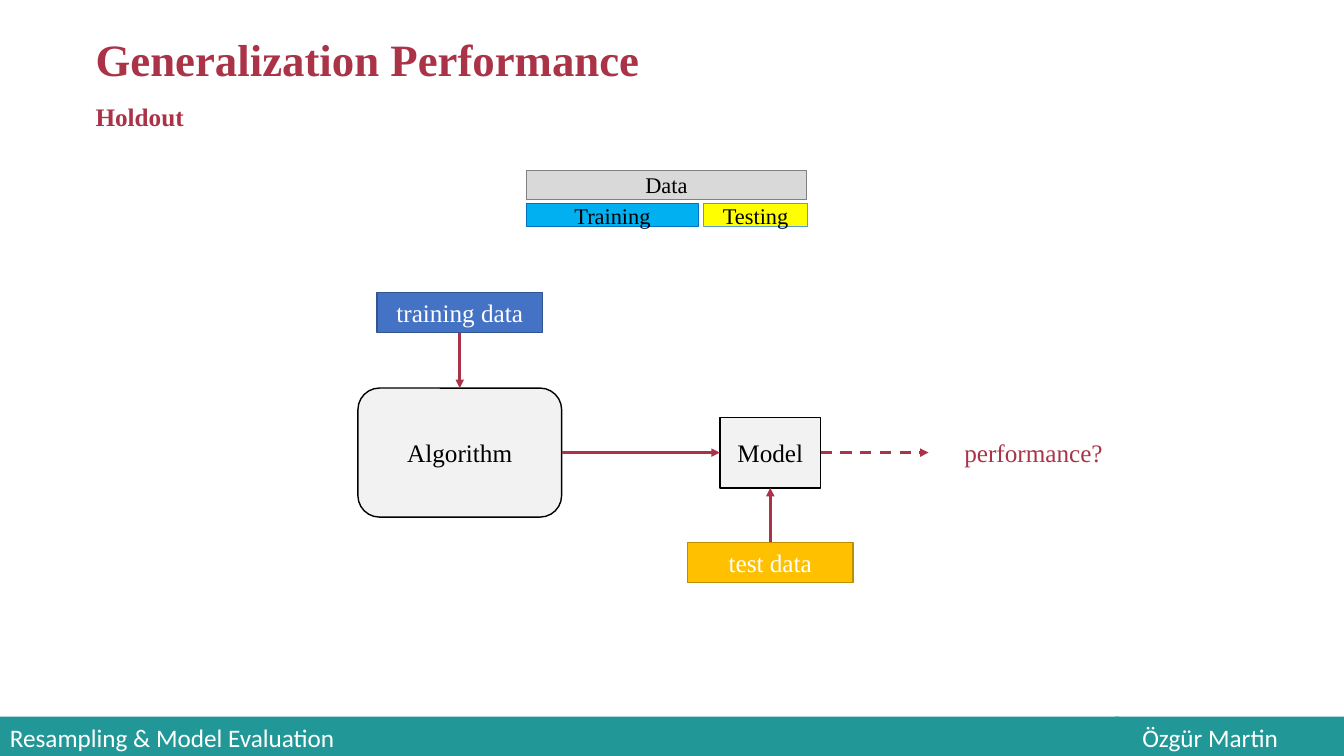
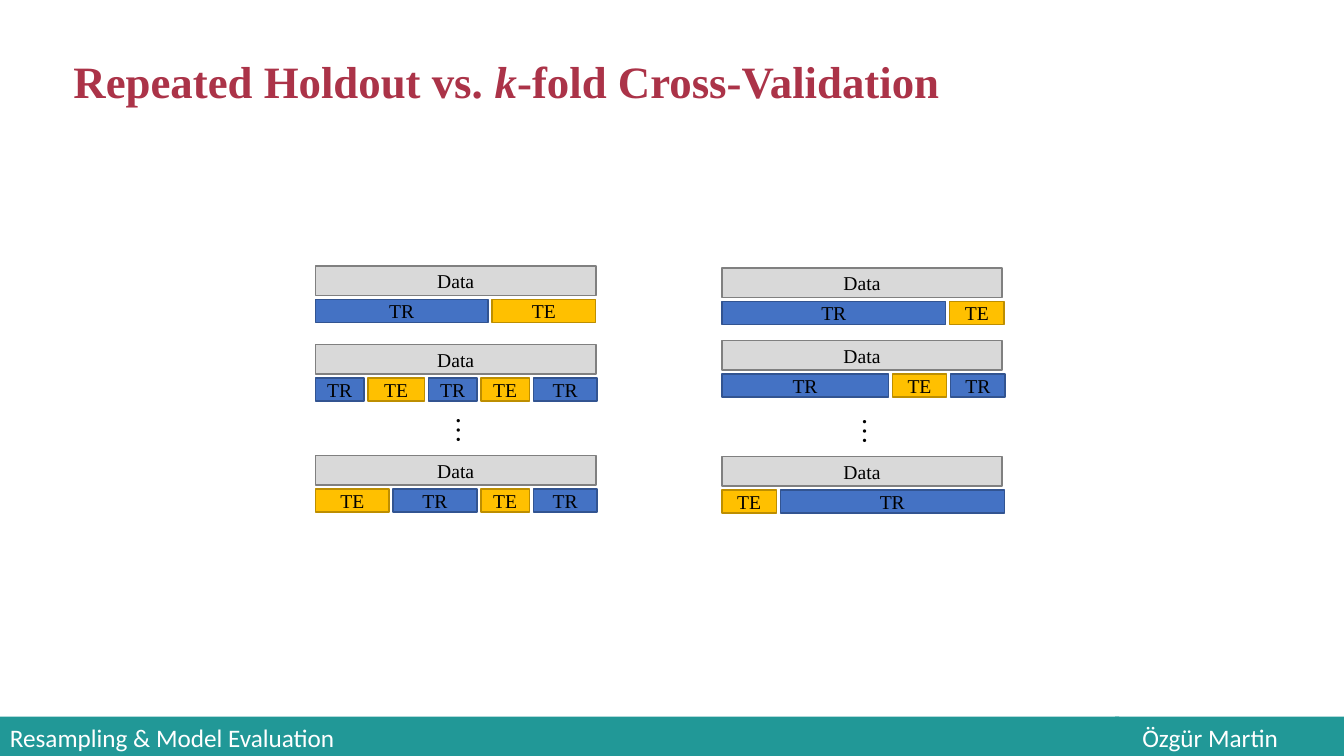
"""Build two slides on holdout evaluation and cross-validation."""
from lxml import etree
from pptx import Presentation
from pptx.dml.color import RGBColor
from pptx.enum.dml import MSO_LINE
from pptx.enum.shapes import MSO_CONNECTOR, MSO_SHAPE
from pptx.enum.text import MSO_ANCHOR, PP_ALIGN
from pptx.oxml.ns import qn
from pptx.util import Inches, Pt

RECTANGLE, ROUNDED = MSO_SHAPE.RECTANGLE, MSO_SHAPE.ROUNDED_RECTANGLE
STRAIGHT, DASH = MSO_CONNECTOR.STRAIGHT, MSO_LINE.DASH
LEFT, CENTER = PP_ALIGN.LEFT, PP_ALIGN.CENTER
TOP_ANCHOR, MIDDLE = MSO_ANCHOR.TOP, MSO_ANCHOR.MIDDLE

CRIMSON = RGBColor(0xAB, 0x33, 0x48)
TEAL = RGBColor(0x21, 0x98, 0x97)
WHITE = RGBColor(0xFF, 0xFF, 0xFF)
BLACK = RGBColor(0, 0, 0)
PALE = RGBColor(0xF2, 0xF2, 0xF2)
GRAY = RGBColor(0xD9, 0xD9, 0xD9)
DARK_GRAY = RGBColor(0x80, 0x80, 0x80)
BLUE = RGBColor(0x44, 0x72, 0xC4)
DARK_BLUE = RGBColor(0x32, 0x54, 0x91)
GOLD = RGBColor(0xFF, 0xC0, 0x00)
DARK_GOLD = RGBColor(0xBD, 0x8E, 0x00)
YELLOW = RGBColor(0xFF, 0xFF, 0x00)
STEEL = RGBColor(0x5B, 0x9B, 0xD5)
SKY = RGBColor(0x00, 0xB0, 0xF0)
DEEP_SKY = RGBColor(0x00, 0x70, 0xC0)

SERIF, SANS = "Times New Roman", "Calibri"
BAR_WIDTH, DATA_HEIGHT, PART_HEIGHT, PART_DROP = 2.78, 0.29, 0.23, 0.33

PART_COLORS = {
    "TR": (BLUE, DARK_BLUE),
    "TE": (GOLD, DARK_GOLD),
    "Training": (SKY, DEEP_SKY),
    "Testing": (YELLOW, STEEL),
}
FOOTERS = [
    ("Özgür Martin", (11.06, 7.11, 2.27, 0.42), 0.27),
    ("Resampling & Model Evaluation", (0, 7.11, 11.1, 0.42), 0.1),
]
HOLDOUT_PARTS = [("Training", 1.71), ("Testing", 1.03)]
FLOW_BOXES = {
    "Algorithm": ((3.55, 3.85, 2.02, 1.28), ROUNDED, PALE, BLACK, BLACK),
    "training data": ((3.74, 2.9, 1.64, 0.4), RECTANGLE, BLUE, DARK_BLUE, WHITE),
    "Model": ((7.14, 4.14, 1, 0.7), RECTANGLE, PALE, BLACK, BLACK),
    "test data": ((6.82, 5.38, 1.64, 0.4), RECTANGLE, GOLD, DARK_GOLD, WHITE),
}
TOP_SITE, LEFT_SITE, BOTTOM_SITE, RIGHT_SITE = range(4)
FLOW_ARROWS = [
    ("training data", BOTTOM_SITE, "Algorithm", TOP_SITE, None),
    ("Algorithm", RIGHT_SITE, "Model", LEFT_SITE, None),
    ("Model", RIGHT_SITE, "performance?", LEFT_SITE, DASH),
    ("test data", TOP_SITE, "Model", BOTTOM_SITE, None),
]
COMPARISON = [
    {
        "left": 3.13,
        "dots": (4.21, 4.05, 0.86, 0.44),
        "rows": [
            (2.64, [("TR", 1.71), ("TE", 1.03)]),
            (3.42, [("TR", 0.48), ("TE", 0.56), ("TR", 0.48), ("TE", 0.48), ("TR", 0.63)]),
            (4.52, [("TE", 0.73), ("TR", 0.83), ("TE", 0.48), ("TR", 0.63)]),
        ],
    },
    {
        "left": 7.16,
        "dots": (8.24, 4.06, 0.86, 0.44),
        "rows": [
            (2.66, [("TR", 2.22), ("TE", 0.54)]),
            (3.38, [("TR", 1.65), ("TE", 0.54), ("TR", 0.54)]),
            (4.53, [("TE", 0.54), ("TR", 2.22)]),
        ],
    },
]


def write(box, text, *, size=18, color=BLACK, font=SERIF, bold=False, italic="",
          align=CENTER, anchor=MIDDLE, inset=(0.1, 0.1)):
    """Fill a shape with one formatted paragraph, slanting the given word."""
    frame = box.text_frame
    frame.word_wrap = True
    frame.vertical_anchor = anchor
    frame.margin_left, frame.margin_right = map(Inches, inset)
    para = frame.paragraphs[0]
    para.alignment = align
    before, word, after = text.partition(italic) if italic else (text, "", "")
    for piece in filter(None, (before, word, after)):
        span = para.add_run()
        span.text = piece
        span.font.name, span.font.size = font, Pt(size)
        span.font.bold, span.font.italic = bold, piece == italic
        span.font.color.rgb = color


def add_box(page, place, text, fill, line=None, kind=RECTANGLE, **style):
    """Add a filled shape with text."""
    box = page.shapes.add_shape(kind, *map(Inches, place))
    box.shadow.inherit = False
    box.fill.solid()
    box.fill.fore_color.rgb = fill
    if line is None:
        box.line.fill.background()
    else:
        box.line.color.rgb = line
        box.line.width = Pt(1)
    write(box, text, **style)
    return box


def add_label(page, place, text, **style):
    """Add a plain text box."""
    box = page.shapes.add_textbox(*map(Inches, place))
    write(box, text, **style)
    return box


def add_heading(page, place, text, size=32, italic=""):
    """Add a bold heading in the deck's title style."""
    add_label(page, place, text, size=size, italic=italic, color=CRIMSON,
              bold=True, align=LEFT, anchor=TOP_ANCHOR)


def add_arrow(page, start, start_site, end, end_site, dash):
    """Join two boxes with an arrow."""
    arrow = page.shapes.add_connector(STRAIGHT, 0, 0, 0, 0)
    arrow.begin_connect(start, start_site)
    arrow.end_connect(end, end_site)
    arrow.line.color.rgb = CRIMSON
    arrow.line.width = Pt(2)
    if dash is not None:
        arrow.line.dash_style = dash
    etree.SubElement(arrow.line._get_or_add_ln(), qn("a:tailEnd"), type="triangle")
    etree.SubElement(arrow._element.spPr, qn("a:effectLst"))


def add_split(page, left, top, parts, size=14, gap=0.04):
    """Draw a data bar above the row of parts it is split into."""
    style = {"size": size, "inset": (0, 0)}
    add_box(page, (left, top, BAR_WIDTH, DATA_HEIGHT), "Data", GRAY, DARK_GRAY, **style)
    for name, width in parts:
        place = (left, top + PART_DROP, width, PART_HEIGHT)
        add_box(page, place, name, *PART_COLORS[name], **style)
        left += width + gap


def add_page(deck):
    """Add a blank page with the footer band."""
    page = deck.slides.add_slide(deck.slide_layouts[6])
    for text, place, indent in FOOTERS:
        add_box(page, place, text, TEAL, color=WHITE, font=SANS, align=LEFT,
                inset=(indent, 0.1))
    return page


def build_holdout(deck):
    """Build the holdout flow slide."""
    page = add_page(deck)
    add_heading(page, (0.85, 0.27, 9, 0.64), "Generalization Performance")
    add_heading(page, (0.85, 0.96, 3, 0.4), "Holdout", size=18)
    nodes = {
        name: add_box(page, place, name, fill, line, kind, color=color, inset=(0.05, 0.05))
        for name, (place, kind, fill, line, color) in FLOW_BOXES.items()
    }
    nodes["performance?"] = add_label(page, (9.21, 4.29, 2.02, 0.4), "performance?",
                                      color=CRIMSON, inset=(0.16, 0.1))
    for start, start_site, end, end_site, dash in FLOW_ARROWS:
        add_arrow(page, nodes[start], start_site, nodes[end], end_site, dash)
    add_split(page, 5.22, 1.69, HOLDOUT_PARTS, size=16, gap=0.05)


def build_comparison(deck):
    """Build the slide comparing two resampling schemes."""
    page = add_page(deck)
    add_heading(page, (0.63, 0.48, 9.5, 0.64),
                "Repeated Holdout vs. k-fold Cross-Validation", italic="k")
    for scheme in COMPARISON:
        for top, parts in scheme["rows"]:
            add_split(page, scheme["left"], top, parts)
        dots = add_label(page, scheme["dots"], "…", size=20, anchor=TOP_ANCHOR)
        dots.rotation = 90


def main():
    """Build and save the deck."""
    deck = Presentation()
    deck.slide_width, deck.slide_height = Inches(13.33), Inches(7.5)
    build_holdout(deck)
    build_comparison(deck)
    deck.save("out.pptx")


if __name__ == "__main__":
    main()
